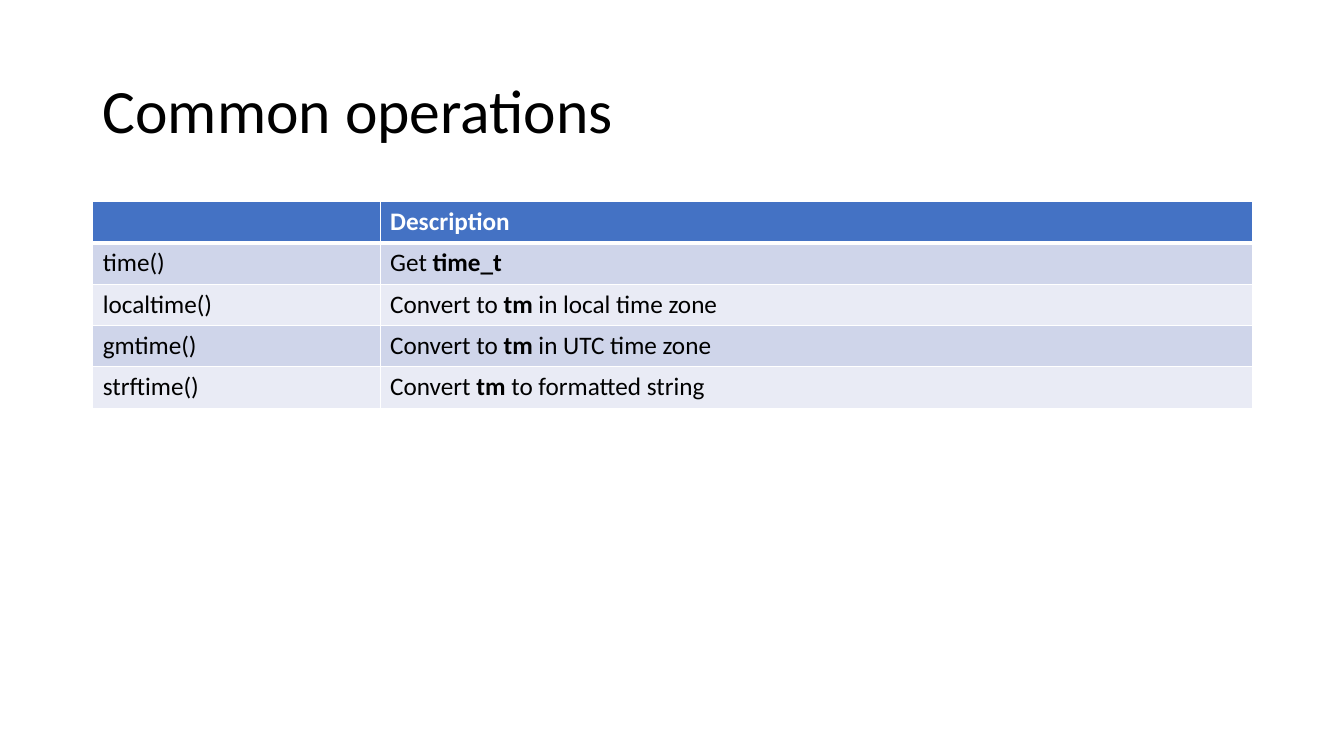
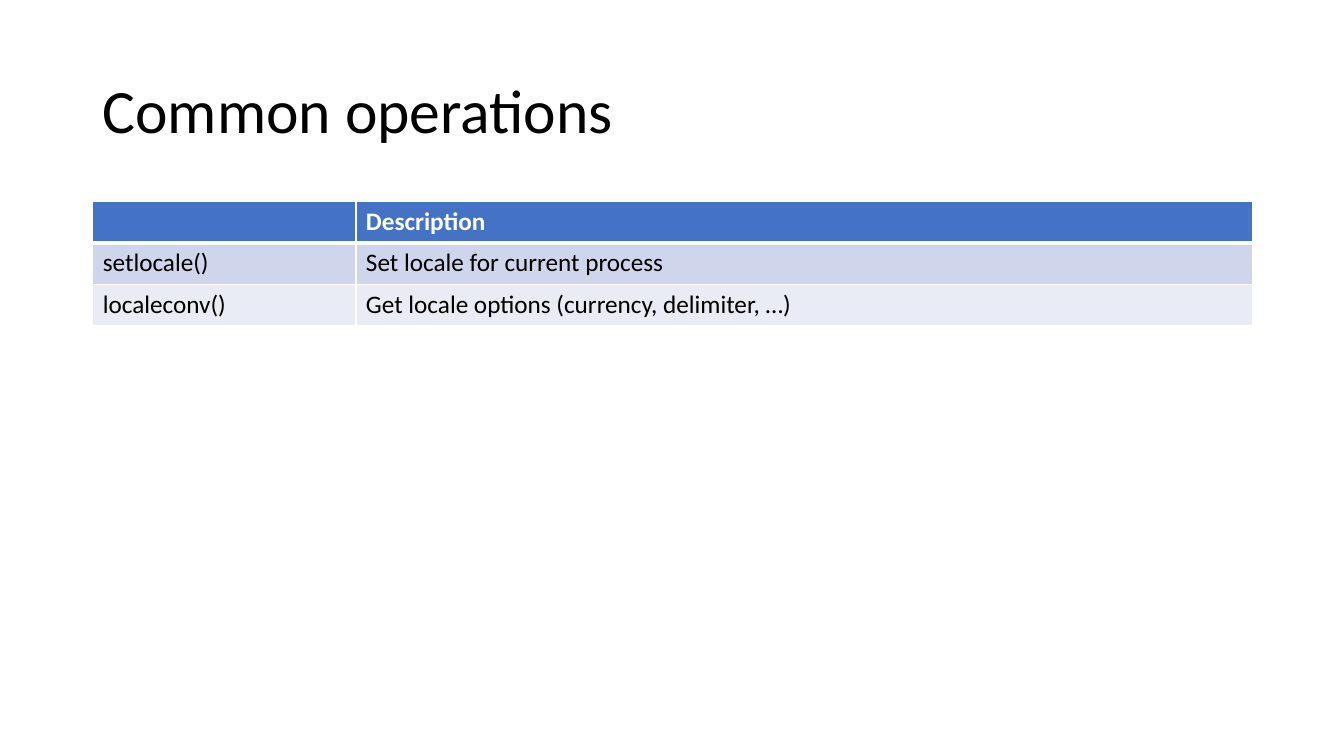
from dataclasses import dataclass

from lxml.etree import SubElement
from pptx import Presentation
from pptx.dml.color import RGBColor
from pptx.enum.text import MSO_ANCHOR
from pptx.oxml.ns import qn
from pptx.util import Inches, Pt


@dataclass(frozen=True)
class Theme:
    font: str = "Calibri"
    title_size: int = 44
    table_size: int = 18
    ink: str = "000000"
    white: str = "FFFFFF"
    header: str = "4472C4"
    bands: tuple = ("CFD5EA", "E9EBF5")
    thin: int = 1
    thick: int = 3


THEME = Theme()
LEFT, WIDTH = 0.92, 11.5
TITLE_TOP, TITLE_HEIGHT = 0.4, 1.45
TABLE_TOP, ROW_HEIGHT = 2, 0.41

# Each page: title, width of the function column, rows; **marks** show bold
PAGES = [
    ("Common operations", 2.85, [
        ("", "Description"),
        ("time()", "Get **time_t**"),
        ("localtime()", "Convert to **tm** in local time zone"),
        ("gmtime()", "Convert to **tm** in UTC time zone"),
        ("strftime()", "Convert **tm** to formatted string"),
    ]),
    ("Common operations", 2.61, [
        ("", "Description"),
        ("setlocale()", "Set locale for current process"),
        ("localeconv()", "Get locale options (currency, delimiter, …)"),
    ]),
]


# Text
def add_span(para, text, size, color, bold=False):
    span = para.add_run()
    span.text = text
    formats = {"name": THEME.font, "size": Pt(size), "bold": bold}
    for name, value in formats.items():
        setattr(span.font, name, value)
    span.font.color.rgb = RGBColor.from_string(color)


def add_title(page, text):
    box = page.shapes.add_textbox(
        Inches(LEFT), Inches(TITLE_TOP), Inches(WIDTH), Inches(TITLE_HEIGHT))
    frame = box.text_frame
    formats = {"word_wrap": True, "vertical_anchor": MSO_ANCHOR.MIDDLE}
    for name, value in formats.items():
        setattr(frame, name, value)
    para = frame.paragraphs[0]
    para.line_spacing = 0.9
    add_span(para, text, THEME.title_size, THEME.ink)


# Table
def set_borders(cell, top, bottom):
    properties = cell._tc.get_or_add_tcPr()
    widths = {"L": THEME.thin, "R": THEME.thin, "T": top, "B": bottom}
    for side, width in widths.items():
        line = SubElement(properties, qn(f"a:ln{side}"), w=str(Pt(width)))
        fill = SubElement(line, qn("a:solidFill"))
        SubElement(fill, qn("a:srgbClr"), val=THEME.white)


def style_cell(cell, text, row):
    is_header = row == 0
    # The header and the first body row share the thick rule
    set_borders(cell,
                top=THEME.thick if row == 1 else THEME.thin,
                bottom=THEME.thick if is_header else THEME.thin)
    fill_color = THEME.header if is_header else THEME.bands[(row - 1) % 2]
    cell.fill.solid()
    cell.fill.fore_color.rgb = RGBColor.from_string(fill_color)
    para = cell.text_frame.paragraphs[0]
    color = THEME.white if is_header else THEME.ink
    for index, part in enumerate(text.split("**")):
        if part:
            add_span(para, part, THEME.table_size, color,
                     bold=is_header or index % 2 == 1)


def add_operations_table(page, function_width, rows):
    table = page.shapes.add_table(
        len(rows), 2, Inches(LEFT), Inches(TABLE_TOP),
        Inches(WIDTH), Inches(ROW_HEIGHT * len(rows))).table
    for column, width in zip(table.columns,
                             (function_width, WIDTH - function_width)):
        column.width = Inches(width)
    for row, texts in enumerate(rows):
        table.rows[row].height = Inches(ROW_HEIGHT)
        for column, text in enumerate(texts):
            style_cell(table.cell(row, column), text, row)


def main():
    deck = Presentation()
    deck.slide_width, deck.slide_height = Inches(13.33), Inches(7.5)
    blank = deck.slide_layouts[6]
    for title, function_width, rows in PAGES:
        page = deck.slides.add_slide(blank)
        add_title(page, title)
        add_operations_table(page, function_width, rows)
    deck.save("out.pptx")


if __name__ == "__main__":
    main()
